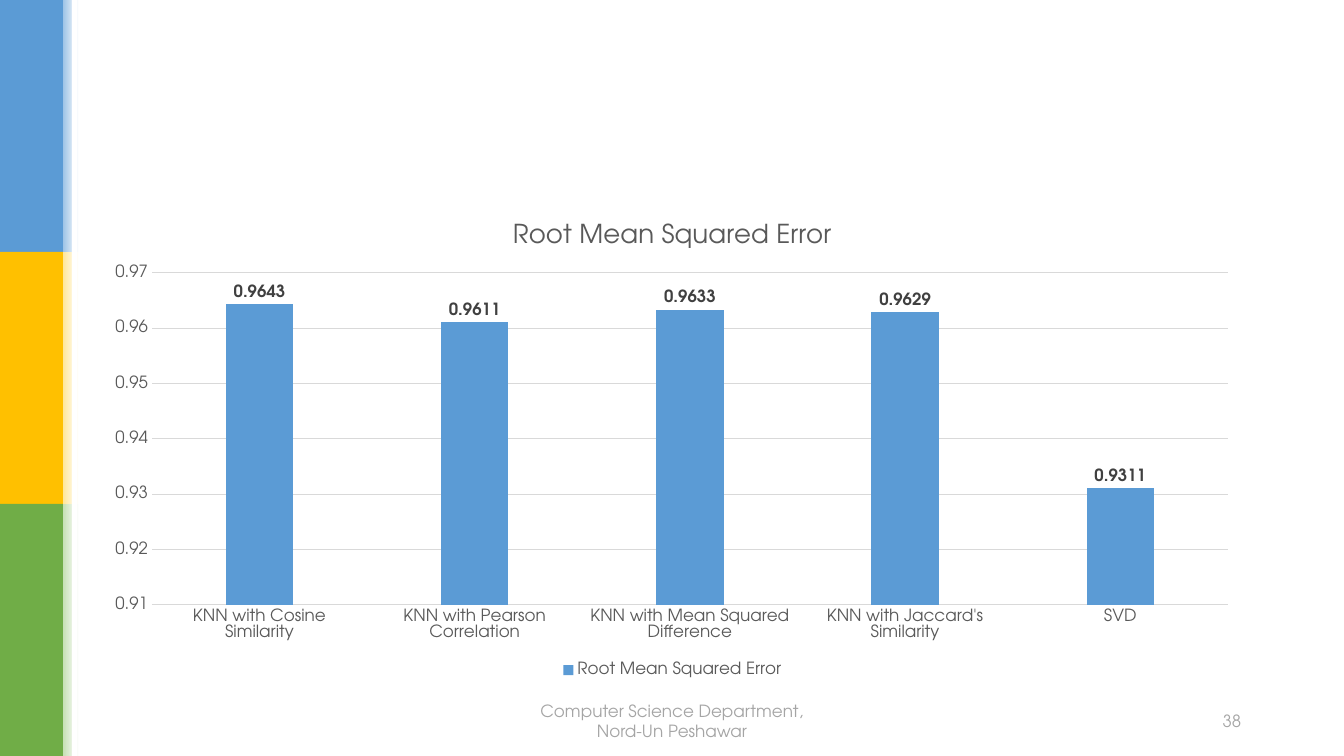
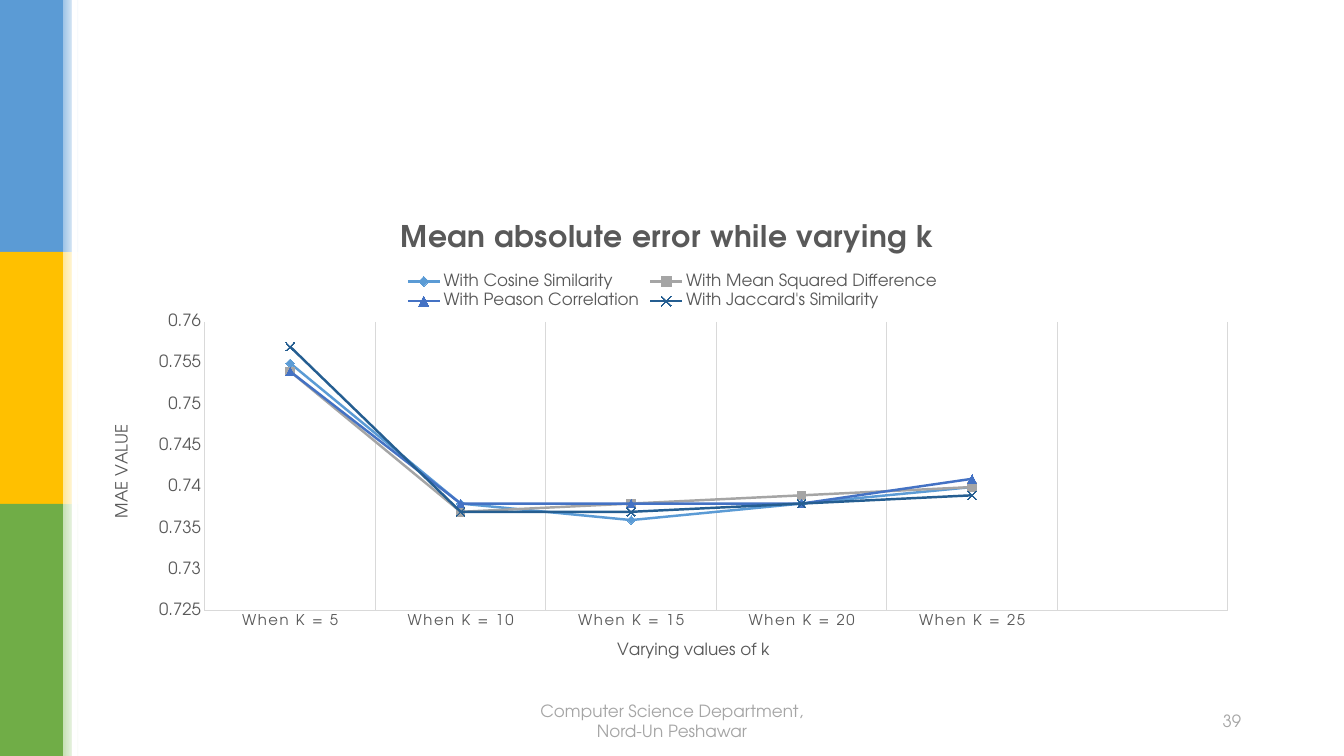
"""Build two slides of error charts with a coloured side band and a footer."""
from lxml import etree
from pptx import Presentation, chart as charts, util as u
from pptx.chart import data
from pptx.dml import color
from pptx.enum import chart as kinds, shapes, text
from pptx.oxml import ns

SCALE = 914400 / 100.8
FONT = "TeX Gyre Adventor"
COLORS = {
    "blue": "5B9BD5", "gold": "FFC000", "green": "70AD47",
    "pale blue": "9DC3E6", "pale gold": "FFE699", "pale green": "C5E0B4",
    "white": "FFFFFF", "gray": "A5A5A5", "royal": "4472C4", "navy": "255E91",
    "ink": "595959", "label": "404040", "rule": "D9D9D9",
}
RGB = {name: color.RGBColor.from_string(value) for name, value in COLORS.items()}
MARKER = kinds.XL_MARKER_STYLE
CHARTS = [
    {
        "number": "38",
        "kind": kinds.XL_CHART_TYPE.COLUMN_CLUSTERED,
        "title": ("Root Mean Squared Error", {"size": 18.6}),
        "categories": ["KNN with Cosine Similarity", "KNN with Pearson Correlation",
                       "KNN with Mean Squared Difference",
                       "KNN with Jaccard's Similarity", "SVD"],
        "series": [("Root Mean Squared Error", "blue", None,
                    [0.9643, 0.9611, 0.9633, 0.9629, 0.9311])],
        "scale": (0.91, 0.97, 0.01),
        "plot": (152, 273, 1076, 332),
        "legend": kinds.XL_LEGEND_POSITION.BOTTOM,
    },
    {
        "number": "39",
        "kind": kinds.XL_CHART_TYPE.LINE_MARKERS,
        "title": ("Mean absolute error while varying k ",
                  {"size": 21.3, "bold": True, "spacing": 50}),
        "categories": [f"When K = {k}" for k in range(5, 30, 5)] + [""],
        "series": [
            ("With Cosine Similarity", "blue", MARKER.DIAMOND,
             [0.755, 0.738, 0.736, 0.738, 0.74, None]),
            ("With Mean Squared Difference", "gray", MARKER.SQUARE,
             [0.754, 0.737, 0.738, 0.739, 0.74, None]),
            ("With Peason Correlation", "royal", MARKER.TRIANGLE,
             [0.754, 0.738, 0.738, 0.738, 0.741, None]),
            ("With Jaccard's Similarity", "navy", MARKER.X,
             [0.757, 0.737, 0.737, 0.738, 0.739, None]),
        ],
        "scale": (0.725, 0.76, 0.005),
        "plot": (205, 322, 1023, 289),
        "legend": kinds.XL_LEGEND_POSITION.TOP,
    },
]


def px(*lengths):
    """Turn pixels into EMU."""
    return [u.Emu(round(length * SCALE)) for length in lengths]


def write(frame, words, size=12, ink="ink", bold=False, align="CENTER", spacing=0):
    """Write one formatted paragraph into a text frame."""
    para = frame.paragraphs[0]
    para.alignment = text.PP_ALIGN[align]
    span = para.add_run()
    span.text = words
    span.font.name, span.font.size, span.font.bold = FONT, u.Pt(size), bold
    span.font.color.rgb = RGB[ink]
    if spacing:
        para.runs[0].font._element.set("spc", str(spacing))


deck = Presentation()
deck.slide_width, deck.slide_height = px(1344, 756)

for design in CHARTS:
    page = deck.slides.add_slide(deck.slide_layouts[6])

    bands = []
    for row, name in enumerate(("blue", "gold", "green")):
        bands.append((0, row * 252, 63, 252, name))
        bands.append((63, row * 252, 16, 252, f"pale {name}"))
    bands.append((72, 0, 5, 756, "white"))
    for *place, name in bands:
        band = page.shapes.add_shape(shapes.MSO_SHAPE.RECTANGLE, *px(*place))
        band.shadow.inherit = False
        band.line.fill.background()
        if name.startswith("pale"):
            band.fill.gradient()
            band.fill.gradient_angle = 0
            for stop, shade in zip(band.fill.gradient_stops, (name, "white")):
                stop.color.rgb = RGB[shade]
        else:
            band.fill.solid()
            band.fill.fore_color.rgb = RGB[name]

    table = data.CategoryChartData()
    table.categories = design["categories"]
    for name, _, _, values in design["series"]:
        table.add_series(name, values)
    left, top, width, height = 93, 202, 1159, 480
    chart = page.shapes.add_chart(
        design["kind"], *px(left, top, width, height), table).chart
    chart.font.name, chart.font.size = FONT, u.Pt(12)
    chart.font.color.rgb = RGB["ink"]
    words, style = design["title"]
    title_frame = chart.chart_title.text_frame
    write(title_frame, words, **{key: style[key] for key in style if key != "spacing"})
    chart.has_legend = True
    chart.legend.position = design["legend"]
    chart.legend.include_in_layout = False

    category_axis, value_axis = chart.category_axis, chart.value_axis
    low, high, step = design["scale"]
    value_axis.minimum_scale, value_axis.maximum_scale = low, high
    value_axis.major_unit = step
    value_axis.tick_labels.number_format = "General"
    value_axis.tick_labels.number_format_is_linked = False
    for axis in (category_axis, value_axis):
        axis.major_tick_mark = axis.minor_tick_mark = kinds.XL_TICK_MARK.NONE
        axis.format.line.color.rgb = RGB["rule"]
        axis.format.line.width = u.Pt(0.75)
        axis.tick_labels.font.size = u.Pt(12)

    plot = chart.plots[0]
    plot.vary_by_categories = False
    if design["kind"] == kinds.XL_CHART_TYPE.COLUMN_CLUSTERED:
        ruled_axis = value_axis
        value_axis.format.line.fill.background()
        plot.gap_width, plot.overlap = 219, -27
        plot.has_data_labels = True
        labels = plot.data_labels
        labels.show_value = True
        labels.position = kinds.XL_LABEL_POSITION.OUTSIDE_END
        labels.font.name, labels.font.size, labels.font.bold = FONT, u.Pt(12), True
        labels.font.color.rgb = RGB["label"]
    else:
        ruled_axis = category_axis
        value_axis.has_major_gridlines = False
        category_axis.tick_labels.font.size = u.Pt(10.6)
        write(category_axis.axis_title.text_frame, "Varying values of k")
        write(value_axis.axis_title.text_frame, "MAE VALUE")
        for run in chart.element.xpath("c:chart/c:title//a:rPr"):
            run.set("spc", str(style["spacing"]))
        for run in chart.element.xpath(".//c:catAx/c:txPr//a:defRPr"):
            run.set("spc", "120")
    ruled_axis.has_major_gridlines = True
    ruled_axis.major_gridlines.format.line.color.rgb = RGB["rule"]
    ruled_axis.major_gridlines.format.line.width = u.Pt(0.75)

    for series, (_, name, marker, _) in zip(plot.series, design["series"]):
        if marker is None:
            series.format.fill.solid()
            series.format.fill.fore_color.rgb = RGB[name]
            continue
        series.smooth = False
        series.format.line.color.rgb = RGB[name]
        series.format.line.width = u.Pt(1.75)
        series.marker.style, series.marker.size = marker, 6
        series.marker.format.line.color.rgb = RGB[name]
        if marker == MARKER.X:
            series.marker.format.fill.background()
        else:
            series.marker.format.fill.solid()
            series.marker.format.fill.fore_color.rgb = RGB[name]

    plot_area = chart.element.xpath("c:chart/c:plotArea")[0]
    for old in plot_area.xpath("c:layout"):
        plot_area.remove(old)
    layout = etree.Element(ns.qn("c:layout"))
    plot_area.insert(0, layout)
    manual = etree.SubElement(layout, ns.qn("c:manualLayout"))
    x, y, wide, tall = design["plot"]
    for tag, value in (("layoutTarget", "inner"), ("xMode", "edge"), ("yMode", "edge"),
                       ("x", round((x - left) / width, 4)),
                       ("y", round((y - top) / height, 4)),
                       ("w", round(wide / width, 4)), ("h", round(tall / height, 4))):
        etree.SubElement(manual, ns.qn(f"c:{tag}")).set("val", str(value))

    for place, words, align in (
            ((512, 701, 320, 40), "Computer Science Department, Nord-Un Peshawar", "CENTER"),
            ((890, 701, 361, 40), design["number"], "RIGHT")):
        box = page.shapes.add_textbox(*px(*place))
        box.text_frame.word_wrap = True
        box.text_frame.vertical_anchor = text.MSO_ANCHOR.MIDDLE
        write(box.text_frame, words, ink="gray", align=align)

deck.save("out.pptx")
